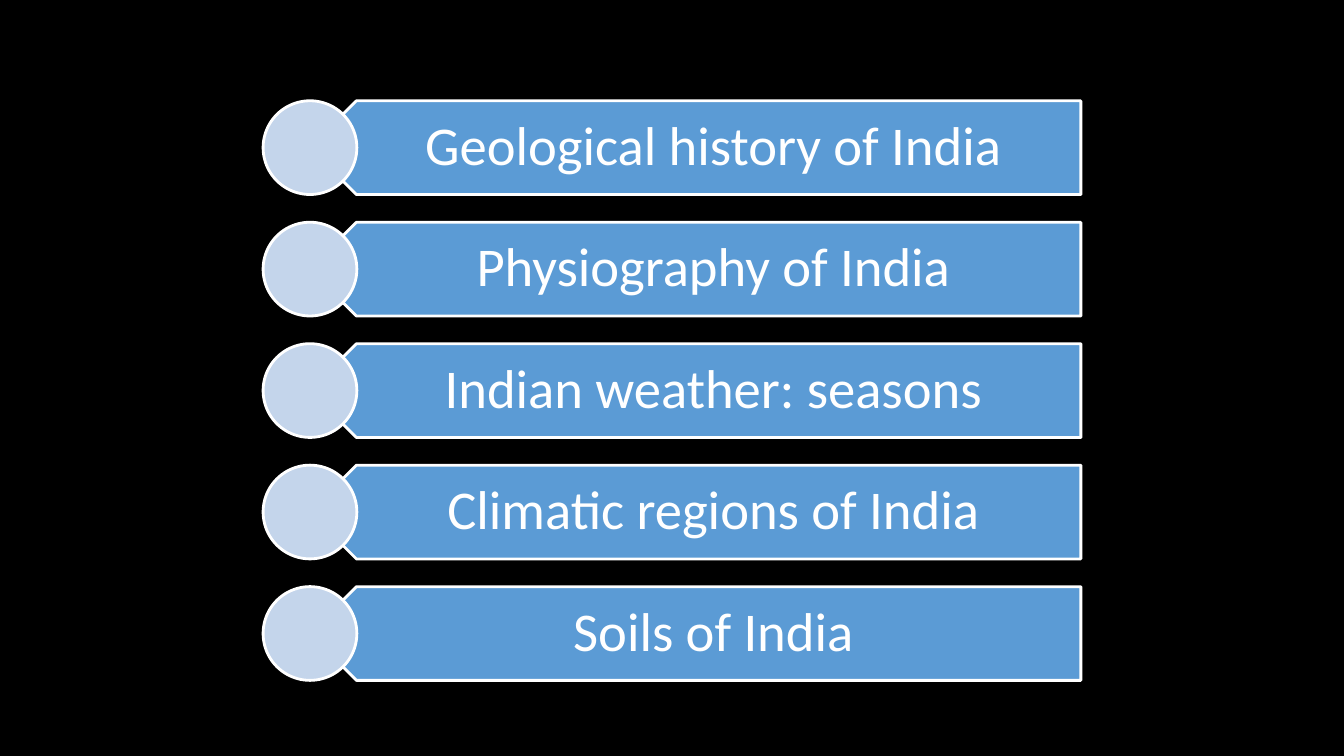
from pptx import Presentation
from pptx.dml.color import RGBColor
from pptx.enum.shapes import MSO_SHAPE as Preset
from pptx.enum.text import MSO_ANCHOR as Anchor, PP_ALIGN as Align
from pptx.util import Inches, Pt

BLACK = RGBColor(0x00, 0x00, 0x00)
WHITE = RGBColor(0xFF, 0xFF, 0xFF)
BLUE = RGBColor(0x5B, 0x9B, 0xD5)
PALE_BLUE = RGBColor(0xC4, 0xD5, 0xEB)

TOPICS = [
    "Geological history of India",
    "Physiography of India",
    "Indian weather: seasons",
    "Climatic regions of India",
    "Soils of India",
]
FIRST_TOP, LAST_TOP = 1, 5.82
ROW_STEP = (LAST_TOP - FIRST_TOP) / (len(TOPICS) - 1)
ROW_HEIGHT = 0.93
CIRCLE_LEFT = 2.61
BANNER_LEFT, BANNER_WIDTH = 3.07, 7.65
LABEL_LEFT, LABEL_WIDTH = 3.31, 7.42


def add_outlined(slide, preset, left, top, width, fill, rotation=0):
    outlined = slide.shapes.add_shape(
        preset, Inches(left), Inches(top), Inches(width), Inches(ROW_HEIGHT))
    outlined.shadow.inherit = False
    outlined.rotation = rotation
    outlined.fill.solid()
    outlined.fill.fore_color.rgb = fill
    outlined.line.color.rgb = WHITE
    outlined.line.width = Pt(2)


def add_label(slide, text, left, top, width, size=39, font="Calibri", color=WHITE):
    label = slide.shapes.add_textbox(
        Inches(left), Inches(top), Inches(width), Inches(ROW_HEIGHT))
    frame = label.text_frame
    frame.word_wrap = True
    frame.vertical_anchor = Anchor.MIDDLE
    frame.margin_left, frame.margin_right = Inches(0.41), Inches(0.3)
    frame.margin_top = frame.margin_bottom = Inches(0.16)
    paragraph = frame.paragraphs[0]
    paragraph.alignment = Align.CENTER
    paragraph.line_spacing = 0.9
    run = paragraph.add_run()
    run.text = text
    run.font.size = Pt(size)
    run.font.name = font
    run.font.color.rgb = color


def add_topic(slide, topic, top):
    add_outlined(slide, Preset.PENTAGON, BANNER_LEFT, top, BANNER_WIDTH, BLUE, rotation=180)
    add_label(slide, topic, LABEL_LEFT, top, LABEL_WIDTH)
    add_outlined(slide, Preset.OVAL, CIRCLE_LEFT, top, ROW_HEIGHT, PALE_BLUE)


def main():
    deck = Presentation()
    deck.slide_width, deck.slide_height = Inches(13.33), Inches(7.5)
    slide = deck.slides.add_slide(deck.slide_layouts[6])
    slide.background.fill.solid()
    slide.background.fill.fore_color.rgb = BLACK
    for row, topic in enumerate(TOPICS):
        add_topic(slide, topic, FIRST_TOP + row * ROW_STEP)
    deck.save("out.pptx")


main()
